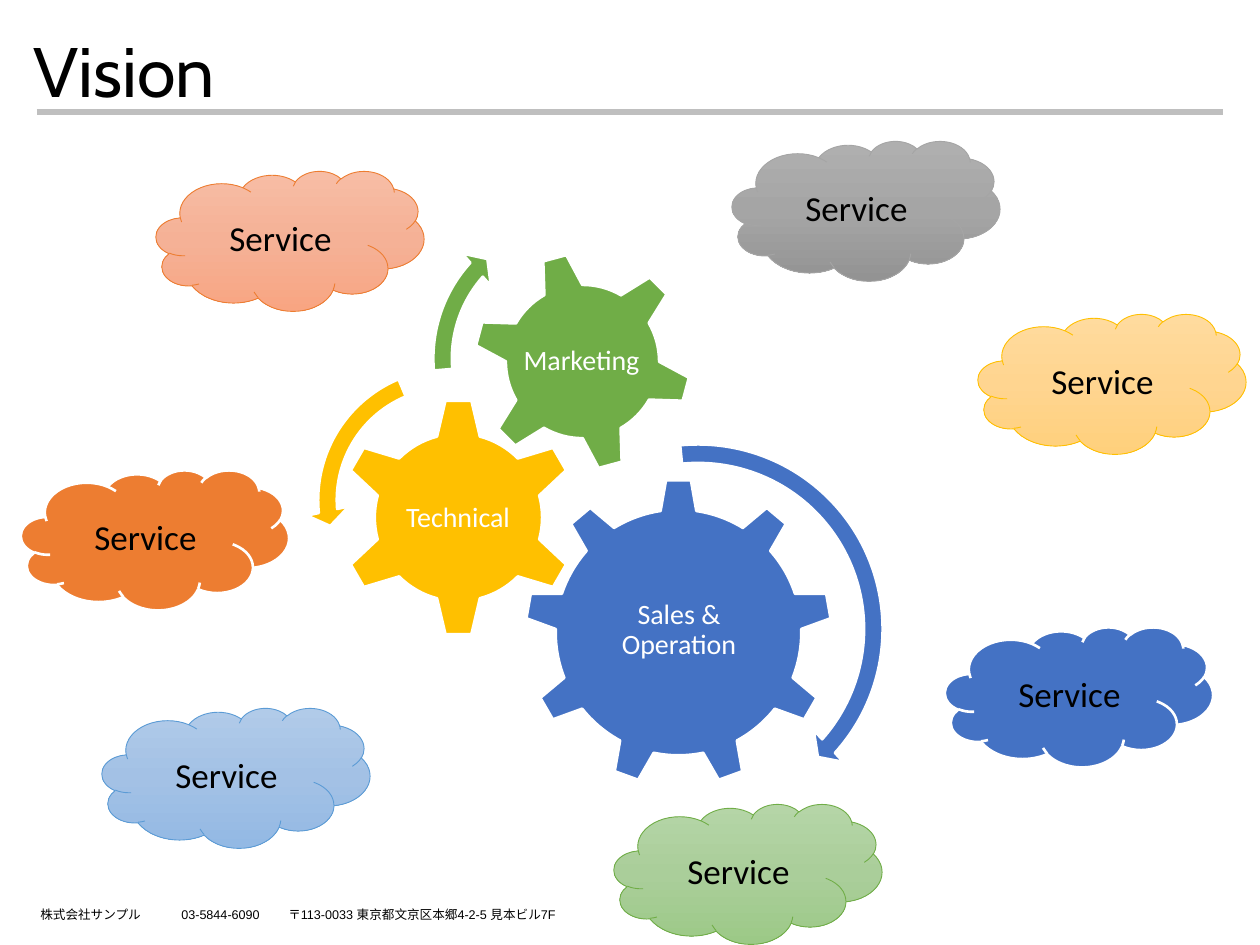
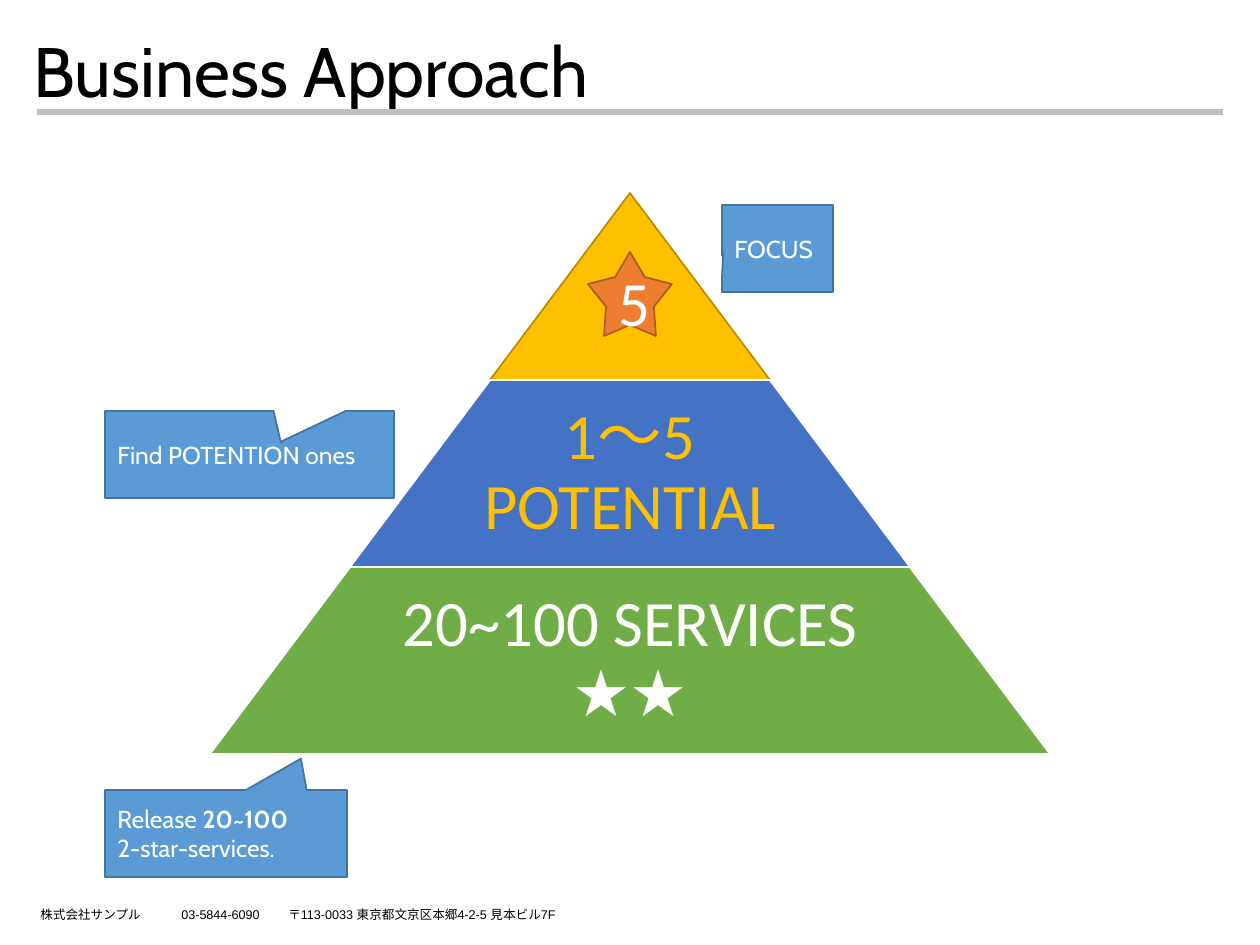
from copy import deepcopy

from pptx import Presentation
from pptx.dml.color import RGBColor
from pptx.enum.shapes import MSO_CONNECTOR, MSO_SHAPE
from pptx.enum.text import MSO_ANCHOR, MSO_AUTO_SIZE, PP_ALIGN
from pptx.oxml.ns import qn
from pptx.oxml.xmlchemy import OxmlElement
from pptx.util import Pt

PX = 914400 / 126

BLACK = RGBColor(0x00, 0x00, 0x00)
WHITE = RGBColor(0xFF, 0xFF, 0xFF)
RULE_GRAY = RGBColor(0xBF, 0xBF, 0xBF)
GRAY = RGBColor(0xA5, 0xA5, 0xA5)
ORANGE = RGBColor(0xED, 0x7D, 0x31)
DARK_ORANGE = RGBColor(0xAF, 0x5C, 0x24)
GOLD = RGBColor(0xFF, 0xC0, 0x00)
DARK_GOLD = RGBColor(0xBD, 0x8E, 0x00)
BLUE = RGBColor(0x44, 0x72, 0xC4)
SKY = RGBColor(0x5B, 0x9B, 0xD5)
DARK_SKY = RGBColor(0x43, 0x73, 0x9E)
GREEN = RGBColor(0x70, 0xAD, 0x47)

GREEN_FADE = [RGBColor(0xB5, 0xD5, 0xA7), RGBColor(0xAA, 0xCE, 0x9A), RGBColor(0x9C, 0xC9, 0x87)]
GRAY_FADE = [RGBColor(0xAF, 0xAF, 0xAF), GRAY, RGBColor(0x93, 0x93, 0x93)]
ORANGE_FADE = [RGBColor(0xF7, 0xBD, 0xA5), RGBColor(0xF5, 0xB1, 0x96), RGBColor(0xF8, 0xA5, 0x82)]
SKY_FADE = [RGBColor(0xB1, 0xCB, 0xE9), RGBColor(0xA3, 0xC1, 0xE5), RGBColor(0x93, 0xB9, 0xE4)]
GOLD_FADE = [RGBColor(0xFF, 0xDB, 0x9E), RGBColor(0xFF, 0xD5, 0x90), RGBColor(0xFF, 0xD0, 0x7C)]

TITLE_FONT = {"name": "Cabin", "size": Pt(40)}
FOOTER_FONT = {"name": "Arial", "size": Pt(7.2)}
SERVICE_FONT = {"name": "Calibri", "size": Pt(20)}
GEAR_FONT = {"name": "Calibri", "size": Pt(16)}
TIER_FONT = {"name": "Calibri", "size": Pt(37)}
STAR_FONT = {"name": "Calibri", "size": Pt(36)}
CALLOUT_FONT = {"name": "Cabin", "size": Pt(14)}

TITLE_PARAGRAPH = {"alignment": PP_ALIGN.LEFT, "line_spacing": 0.9}
LEFT_PARAGRAPH = {"alignment": PP_ALIGN.LEFT}
CENTER_PARAGRAPH = {"alignment": PP_ALIGN.CENTER}
LABEL_PARAGRAPH = {"alignment": PP_ALIGN.CENTER, "line_spacing": 0.9}


def add_box(slide, kind, box, fill=None, line=None, width=1, adjustments=()):
    left, top, box_width, height = [round(value * PX) for value in box]
    if kind is None:
        return slide.shapes.add_textbox(left, top, box_width, height)
    shape = slide.shapes.add_shape(kind, left, top, box_width, height)
    shape.shadow.inherit = False
    for index, value in enumerate(adjustments):
        shape.adjustments[index] = value
    if isinstance(fill, list):
        shape.fill.gradient()
        shape.fill.gradient_angle = 270
        stop_list = shape._element.spPr.find(".//" + qn("a:gsLst"))
        stop_list.append(deepcopy(stop_list[0]))
        for stop, color, position in zip(shape.fill.gradient_stops, fill, (0, 0.5, 1)):
            stop.color.rgb = color
            stop.position = position
    else:
        shape.fill.solid()
        shape.fill.fore_color.rgb = fill
    shape.line.color.rgb = line
    shape.line.width = Pt(width)
    return shape


def write_text(shape, paragraphs, font_format, color, paragraph_format, anchor=MSO_ANCHOR.MIDDLE, inset=None):
    frame = shape.text_frame
    frame.word_wrap = True
    frame.auto_size = MSO_AUTO_SIZE.NONE
    frame.vertical_anchor = anchor
    if inset is not None:
        for side in ("left", "top", "right", "bottom"):
            setattr(frame, f"margin_{side}", round(inset * PX))
    for index, runs in enumerate(paragraphs):
        paragraph = frame.add_paragraph() if index else frame.paragraphs[0]
        for name, value in paragraph_format.items():
            setattr(paragraph, name, value)
        for text, bold in runs:
            run = paragraph.add_run()
            run.text = text
            run.font.bold = bold
            run.font.color.rgb = color
            for name, value in font_format.items():
                setattr(run.font, name, value)


presentation = Presentation()
presentation.slide_width = round(1260 * PX)
presentation.slide_height = round(945 * PX)

slides = []
for title_text, title_width in (("Vision", 861), ("Business Approach", 955)):
    slide = presentation.slides.add_slide(presentation.slide_layouts[5])
    slides.append(slide)

    rule = slide.shapes.add_connector(
        MSO_CONNECTOR.STRAIGHT, round(37 * PX), round(112 * PX), round(1223 * PX), round(112 * PX)
    )
    rule.line.color.rgb = RULE_GRAY
    rule.line.width = Pt(3)
    rule._element.spPr.append(OxmlElement("a:effectLst"))

    footer = add_box(slide, None, (28, 901, 630, 28))
    footer_text = "株式会社サンプル\t03-5844-6090\t〒113-0033 東京都文京区本郷4-2-5 見本ビル7F"
    write_text(footer, [[(footer_text, False)]], FOOTER_FONT, BLACK, LEFT_PARAGRAPH, MSO_ANCHOR.TOP)
    tab_list = OxmlElement("a:tabLst")
    for position in (141, 248):
        tab = OxmlElement("a:tab")
        tab.set("pos", str(round(position * PX)))
        tab.set("algn", "l")
        tab_list.append(tab)
    footer.text_frame.paragraphs[0]._p.get_or_add_pPr().append(tab_list)

    title = slide.shapes.title
    title_box = {"left": 21, "top": 31, "width": title_width, "height": 80}
    for name, value in title_box.items():
        setattr(title, name, round(value * PX))
    write_text(title, [[(title_text, False)]], TITLE_FONT, BLACK, TITLE_PARAGRAPH, MSO_ANCHOR.TOP)

vision, approach = slides

clouds = [
    (21, 470, ORANGE, WHITE, 1.5),
    (614, 804, GREEN_FADE, GREEN, 0.5),
    (732, 141, GRAY_FADE, GRAY, 0.5),
    (156, 171, ORANGE_FADE, ORANGE, 0.5),
    (945, 627, BLUE, WHITE, 1.5),
    (102, 708, SKY_FADE, SKY, 0.5),
    (978, 314, GOLD_FADE, GOLD, 0.5),
]
for left, top, fill, line, width in clouds:
    cloud = add_box(vision, MSO_SHAPE.CLOUD, (left, top, 268, 140), fill, line, width)
    write_text(cloud, [[("Service", False)]], SERVICE_FONT, BLACK, CENTER_PARAGRAPH)

gears = [
    ("Sales & Operation", MSO_SHAPE.GEAR_9, (525, 479, 307, 307), 0, BLUE, (587, 551, 184, 159)),
    ("Technical", MSO_SHAPE.GEAR_6, (339, 398, 239, 239), 0, GOLD, (399, 459, 118, 118)),
    ("Marketing", MSO_SHAPE.GEAR_6, (473, 252, 219, 219), 345, GREEN, (520, 300, 123, 123)),
]
for text, kind, box, rotation, color, label_box in gears:
    gear = add_box(vision, kind, box, color, WHITE, 1.5)
    gear.rotation = rotation
    label = add_box(vision, None, label_box)
    write_text(label, [[(text, False)]], GEAR_FONT, WHITE, LABEL_PARAGRAPH, inset=3)

arrows = [
    (MSO_SHAPE.CIRCULAR_ARROW, (501, 432, 394, 394), BLUE, (0.047, 2.99, 25.131, 158.679, 0.055)),
    (MSO_SHAPE.LEFT_CIRCULAR_ARROW, (306, 357, 286, 286), GOLD, (0.065, 4.3, 104.891, 148.378, 0.075)),
    (MSO_SHAPE.CIRCULAR_ARROW, (421, 204, 309, 309), GREEN, (0.06, 3.941, 133.138, 105.082, 0.07)),
]
for kind, box, color, adjustments in arrows:
    add_box(vision, kind, box, color, WHITE, 1.5, adjustments)

tiers = [
    (None, GOLD, DARK_GOLD, None),
    ("1～5 POTENTIAL", BLUE, WHITE, GOLD),
    ("20~100 SERVICES ★★", GREEN, WHITE, WHITE),
]
tier_height = 187
for index, (text, fill, line, text_color) in enumerate(tiers):
    tier_width = 280 * (index + 1)
    top = 193 + index * tier_height
    add_box(
        approach, MSO_SHAPE.TRAPEZOID, (630 - tier_width / 2, top, tier_width, tier_height),
        fill, line, 1, [0.75],
    )
    if text:
        label_width = tier_width * 0.65
        label = add_box(approach, None, (630 - label_width / 2, top, label_width, tier_height))
        write_text(label, [[(text, False)]], TIER_FONT, text_color, LABEL_PARAGRAPH, inset=6)

star = add_box(
    approach, MSO_SHAPE.STAR_5_POINT, (588, 252, 84, 84), ORANGE, DARK_ORANGE, 1, (0.285, 1.051, 1.106)
)
write_text(star, [[("5", False)]], STAR_FONT, WHITE, CENTER_PARAGRAPH)

callouts = [
    ((105, 790, 242), (0.31, -0.86), [[("Release ", False), ("20~100", True)], [("2-star-services.", False)]]),
    ((105, 411, 289), (0.108, -0.145), [[("Find POTENTION ones", False)]]),
    ((722, 205, 111), (-0.488, 0.043), [[("FOCUS", False)]]),
]
for box, pointer, paragraphs in callouts:
    callout = add_box(approach, MSO_SHAPE.RECTANGULAR_CALLOUT, (*box, 87), SKY, DARK_SKY, 1, pointer)
    write_text(callout, paragraphs, CALLOUT_FONT, WHITE, LEFT_PARAGRAPH)

presentation.save("out.pptx")
